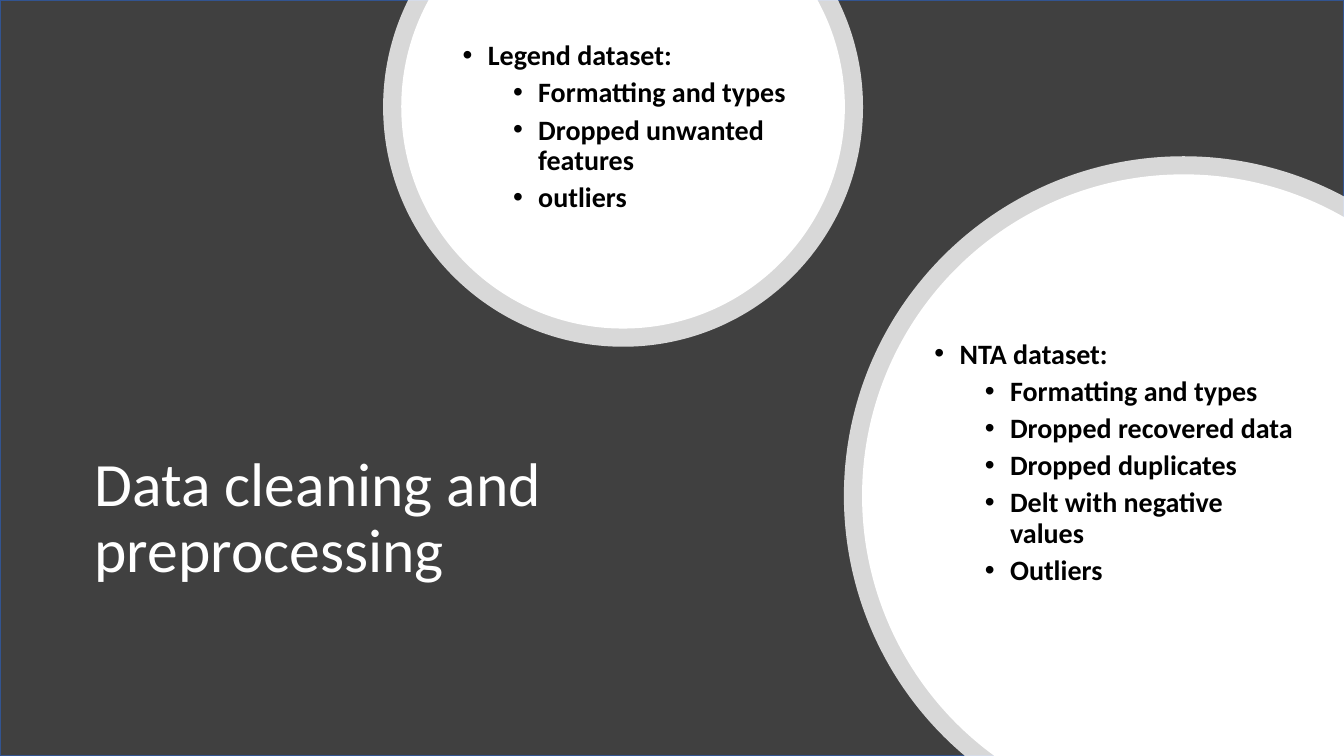
from math import acos, asin, cos, degrees, radians, sin, tan

from lxml.etree import SubElement
from pptx import Presentation
from pptx.dml.color import RGBColor
from pptx.enum.shapes import MSO_SHAPE
from pptx.enum.text import MSO_ANCHOR, PP_ALIGN
from pptx.oxml.ns import qn
from pptx.util import Inches, Pt

WIDTH, HEIGHT = 13.33, 7.5
FONT = "Calibri"
CHARCOAL = RGBColor(0x40, 0x40, 0x40)
BLUE = RGBColor(0x32, 0x54, 0x91)
WHITE = RGBColor(0xFF, 0xFF, 0xFF)
BLACK = RGBColor(0x00, 0x00, 0x00)

TITLE = "Data cleaning and preprocessing"
TITLE_BOX = (0.84, 3.83, 6.62, 2.65)
RING_WIDTH = 0.18
RING_OPACITY = 80
LIST_BOTTOM_INSET = 0.78
DATASETS = [
    {
        "center": (6.18, 1.06),
        "radius": 2.38,
        "box": (4.49, 0.65, 3.57, 1.96),
        "heading": "Legend dataset:",
        "steps": ["Formatting and types", "Dropped unwanted features", "outliers"],
    },
    {
        "center": (11.74, 4.92),
        "radius": 3.37,
        "box": (9.17, 3.44, 3.8, 3.04),
        "heading": "NTA dataset:",
        "steps": [
            "Formatting and types",
            "Dropped recovered data",
            "Dropped duplicates",
            "Delt with negative values",
            "Outliers",
        ],
    },
]


def visible_arc(center, radius):
    x, y = center
    if x + radius < WIDTH:
        cut = degrees(asin(y / radius))
        return [-cut, 0, 90, 180, 180 + cut], []
    bottom_cut = 180 - degrees(asin((HEIGHT - y) / radius))
    right_cut = 360 - degrees(acos((WIDTH - x) / radius))
    return [bottom_cut, 180, 270, right_cut], [(WIDTH, HEIGHT)]


def arc_points(center, radius, angles):
    def locate(angle, along=0):
        turn = radians(angle)
        return (
            center[0] + radius * (cos(turn) - along * sin(turn)),
            center[1] + radius * (sin(turn) + along * cos(turn)),
        )

    points = [locate(angles[0])]
    for start, end in zip(angles, angles[1:]):
        reach = 4 / 3 * tan(radians(end - start) / 4)
        points += [locate(start, reach), locate(end, -reach), locate(end)]
    return points


def add_disc(page, center, radius, opacity=100):
    angles, corners = visible_arc(center, radius)
    points = [
        (Inches(x), Inches(y))
        for x, y in arc_points(center, radius, angles) + corners
    ]
    builder = page.shapes.build_freeform(*points[0])
    builder.add_line_segments(points[1:], close=True)
    disc = builder.convert_to_shape()

    segments = list(disc._element.iter(qn("a:lnTo")))
    for first in range(0, 3 * (len(angles) - 1), 3):
        curve = segments[first].makeelement(qn("a:cubicBezTo"))
        segments[first].addprevious(curve)
        for segment in segments[first:first + 3]:
            curve.append(segment[0])
            segment.getparent().remove(segment)

    disc.shadow.inherit = False
    disc.fill.solid()
    disc.fill.fore_color.rgb = WHITE
    disc.line.fill.background()
    if opacity < 100:
        color = disc.fill._xPr.find(qn("a:solidFill"))[0]
        SubElement(color, qn("a:alpha"), val=str(opacity * 1000))


def add_text(page, place, lines, size, color, bold=False):
    box = page.shapes.add_textbox(*map(Inches, place))
    frame = box.text_frame
    frame.text = "\n".join(lines)
    frame.word_wrap = True
    frame.vertical_anchor = MSO_ANCHOR.MIDDLE
    for para in frame.paragraphs:
        para.alignment = PP_ALIGN.LEFT
        para.line_spacing = 0.9
        for span in para.runs:
            span.font.name = FONT
            span.font.size = Pt(size)
            span.font.bold = bold
            span.font.color.rgb = color
    return frame


def add_bullet(para, level):
    para.level = level
    para.space_before = Pt(5 if level else 10)
    properties = para._p.get_or_add_pPr()
    properties.set("marL", str(Inches(0.25 + 0.5 * level)))
    properties.set("indent", str(Inches(-0.25)))
    SubElement(properties, qn("a:buFont"), typeface="Arial")
    SubElement(properties, qn("a:buChar"), char="•")


def main():
    deck = Presentation()
    deck.slide_width, deck.slide_height = Inches(WIDTH), Inches(HEIGHT)
    page = deck.slides.add_slide(deck.slide_layouts[6])

    backdrop = page.shapes.add_shape(
        MSO_SHAPE.RECTANGLE, 0, 0, Inches(WIDTH), Inches(HEIGHT)
    )
    backdrop.shadow.inherit = False
    backdrop.fill.solid()
    backdrop.fill.fore_color.rgb = CHARCOAL
    backdrop.line.color.rgb = BLUE
    backdrop.line.width = Pt(1)

    add_text(page, TITLE_BOX, [TITLE], 44, WHITE)

    for dataset in DATASETS:
        center, radius = dataset["center"], dataset["radius"]
        add_disc(page, center, radius, RING_OPACITY)
        add_disc(page, center, radius - RING_WIDTH)
        lines = [dataset["heading"]] + dataset["steps"]
        frame = add_text(page, dataset["box"], lines, 20, BLACK, bold=True)
        frame.margin_bottom = Inches(LIST_BOTTOM_INSET)
        for index, para in enumerate(frame.paragraphs):
            add_bullet(para, min(index, 1))

    deck.save("out.pptx")


if __name__ == "__main__":
    main()
